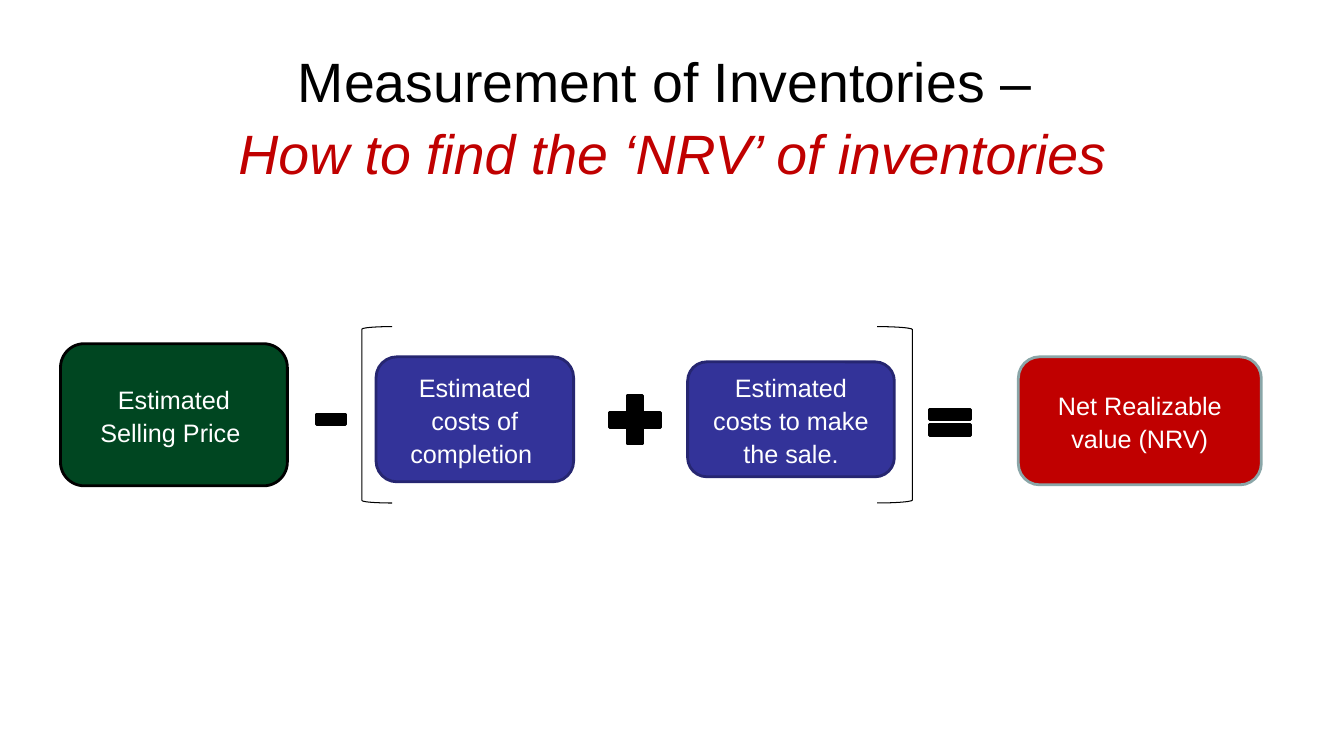
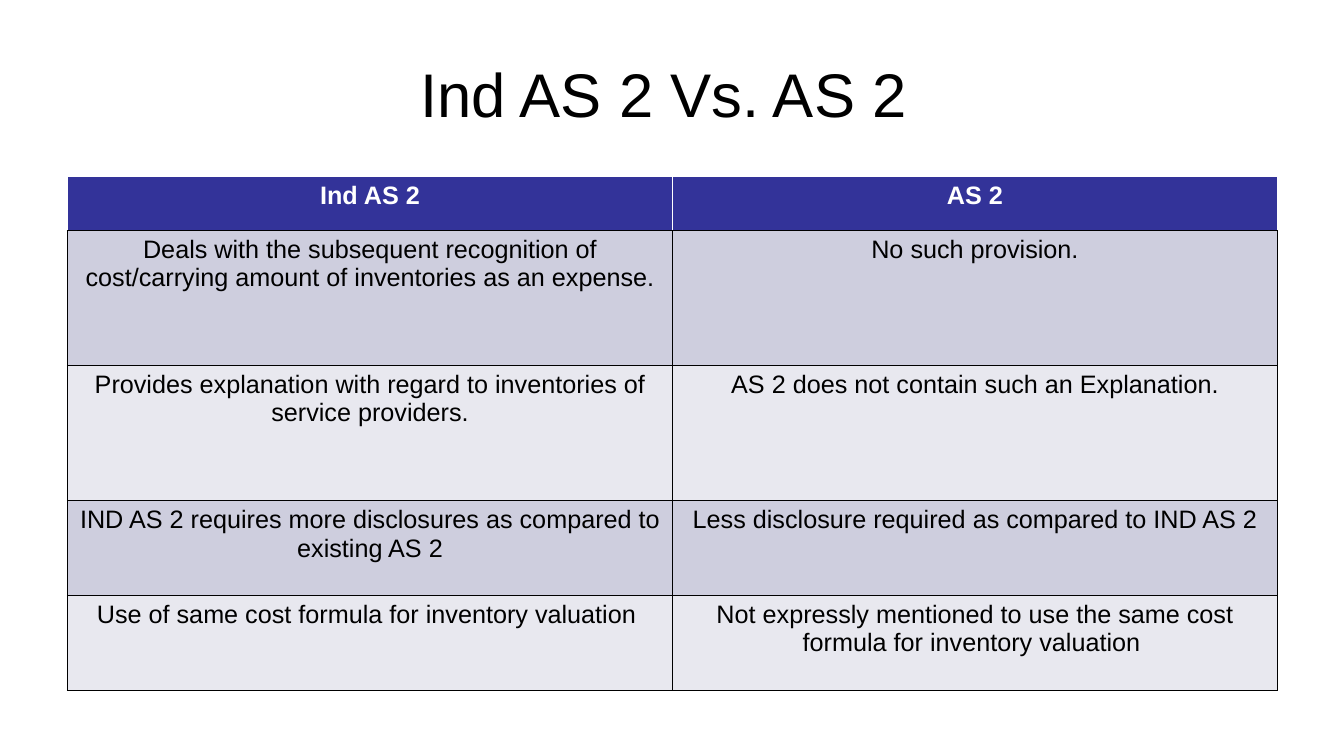
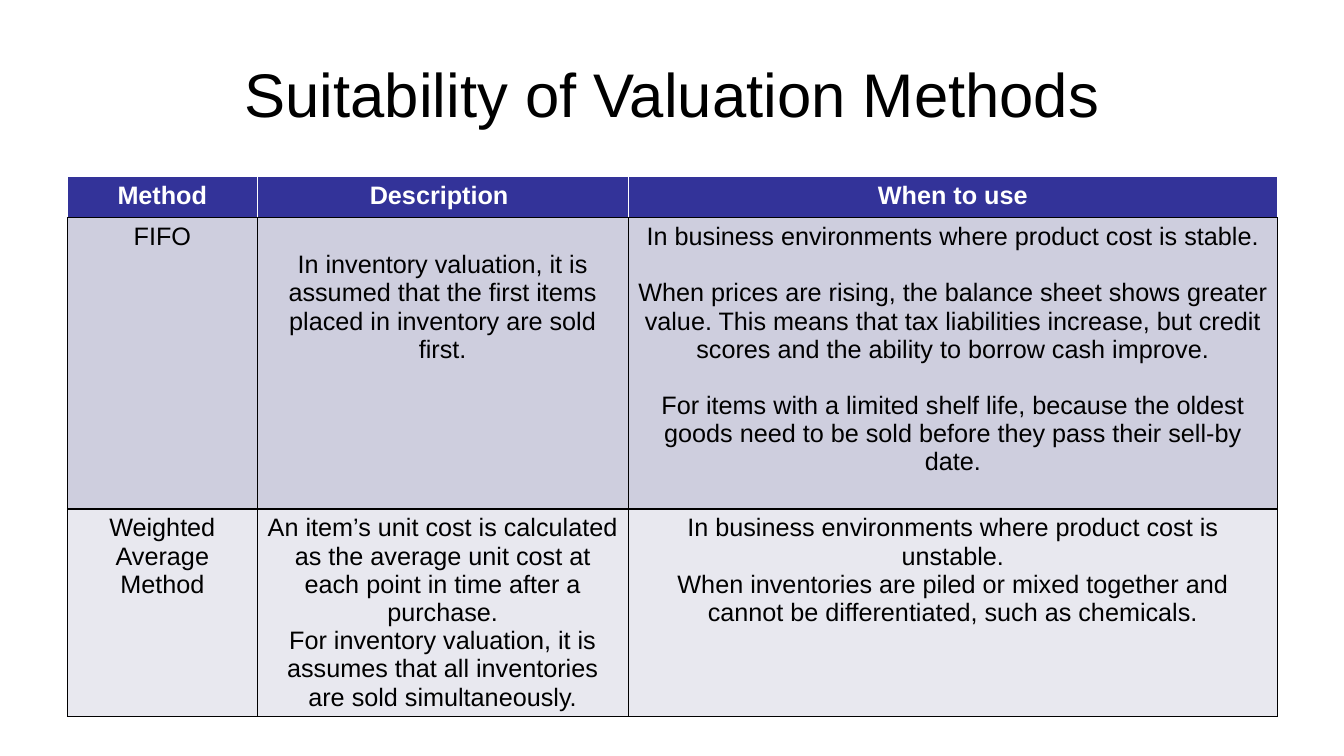
from lxml.etree import SubElement
from pptx import Presentation
from pptx.dml.color import RGBColor
from pptx.enum.shapes import MSO_SHAPE
from pptx.enum.text import MSO_ANCHOR, MSO_AUTO_SIZE, PP_ALIGN
from pptx.oxml.ns import qn
from pptx.util import Inches, Pt

FONT = "Arial"
COLORS = {
    "black": "000000",
    "white": "FFFFFF",
    "green": "004621",
    "indigo": "333399",
    "indigo edge": "262671",
    "red": "C00000",
    "grey edge": "8AA6A8",
    "band dark": "CECEDE",
    "band light": "E8E8EF",
}
TITLE_AREA = (0.67, 0.3, 12, 1.25)
NRV_TITLE_AREA = (0.67, 0.71, 12, 0.84)
TABLE_LEFT, TABLE_TOP = 0.67, 1.75
LOOSE_LINES = 1.08
BLANK_LINE = 20

NRV_TITLE = [
    ("Measurement of Inventories – ", "black", False),
    ("How to find the ‘NRV’ of inventories", "red", True),
]
NRV_TERMS = [
    ("Estimated Selling Price ", (0.6, 3.41, 2.25, 1.41), "green", "black"),
    ("Estimated costs of completion ", (3.73, 3.54, 1.96, 1.24), "indigo", "indigo edge"),
    ("Estimated costs to make the sale.", (6.82, 3.59, 2.05, 1.14), "indigo", "indigo edge"),
    ("Net Realizable value (NRV)", (10.1, 3.54, 2.41, 1.27), "red", "grey edge"),
]
NRV_OPERATORS = [
    (MSO_SHAPE.MATH_EQUAL, (9.15, 3.97, 0.55, 0.44)),
    (MSO_SHAPE.MATH_MINUS, (3.09, 3.94, 0.39, 0.44)),
    (MSO_SHAPE.MATH_PLUS, (5.95, 3.84, 0.69, 0.65)),
]
NRV_BRACKETS = [
    (MSO_SHAPE.LEFT_BRACKET, (3.59, 3.24, 0.3, 1.75)),
    (MSO_SHAPE.RIGHT_BRACKET, (8.7, 3.24, 0.35, 1.75)),
]

COMPARISON = {
    "title": "Ind AS 2 Vs. AS 2 ",
    "widths": [6, 6],
    "heights": [0.54, 1.34, 1.34, 0.94, 0.94],
    "rows": [
        ["Ind AS 2", "AS 2"],
        ["Deals with the subsequent recognition of cost/carrying amount of inventories as an expense.",
         "No such provision."],
        ["Provides explanation with regard to inventories of service providers.",
         "AS 2 does not contain such an Explanation."],
        ["IND AS 2 requires more disclosures as compared to existing AS 2",
         "Less disclosure required as compared to IND AS 2"],
        ["Use of same cost formula for inventory valuation ",
         "Not expressly mentioned to use the same cost formula for inventory valuation "],
    ],
    "spaced row": None,
}
METHODS = {
    "title": "Suitability of Valuation Methods",
    "widths": [1.88, 3.68, 6.44],
    "heights": [0.41, 2.89, 2.06],
    "rows": [
        ["Method", "Description ", "When to use"],
        ["FIFO",
         "In inventory valuation, it is assumed that the first items placed in inventory are sold first.",
         "In business environments where product cost is stable.\n"
         "When prices are rising, the balance sheet shows greater value. This means that tax "
         "liabilities increase, but credit scores and the ability to borrow cash improve.\n"
         "For items with a limited shelf life, because the oldest goods need to be sold before "
         "they pass their sell-by date."],
        ["Weighted Average Method",
         "An item’s unit cost is calculated as the average unit cost at each point in time after "
         "a purchase.\n"
         "For inventory valuation, it is assumes that all inventories are sold simultaneously.",
         "In business environments where product cost is unstable.\n"
         "When inventories are piled or mixed together and cannot be differentiated, such as "
         "chemicals."],
    ],
    "spaced row": 1,
    "lowered cell": (1, 1),
}


def rgb(color):
    return RGBColor.from_string(COLORS[color])


def inches(area):
    return [Inches(length) for length in area]


def place(part, area):
    part.left, part.top, part.width, part.height = inches(area)


def style(paragraph, size, color=None, bold=None):
    paragraph.alignment = PP_ALIGN.CENTER
    paragraph.font.name = FONT
    paragraph.font.size = Pt(size)
    paragraph.font.bold = bold
    if color:
        paragraph.font.color.rgb = rgb(color)


def add_titled_slide(prs, title_lines, size):
    slide = prs.slides.add_slide(prs.slide_layouts.get_by_name("Title Only"))
    frame = slide.shapes.title.text_frame
    frame.auto_size = MSO_AUTO_SIZE.NONE
    frame.vertical_anchor = MSO_ANCHOR.MIDDLE
    heading = frame.paragraphs[0]
    style(heading, size)
    for index, (text, color, italic) in enumerate(title_lines):
        if index:
            heading.add_line_break()
        run = heading.add_run()
        run.text = text
        run.font.color.rgb = rgb(color)
        run.font.italic = italic
    return slide


def add_outlined(slide, preset, area, fill, edge, width):
    shape = slide.shapes.add_shape(preset, *inches(area))
    shape.shadow.inherit = False
    if fill:
        shape.fill.solid()
        shape.fill.fore_color.rgb = rgb(fill)
    else:
        shape.fill.background()
    shape.line.color.rgb = rgb(edge)
    shape.line.width = Pt(width)
    return shape


def set_borders(cell, colors):
    properties = cell._tc.get_or_add_tcPr()
    for index, (side, color) in enumerate(zip(("lnL", "lnR", "lnT", "lnB"), colors)):
        line = properties.makeelement(qn(f"a:{side}"), {"w": str(Pt(1))})
        fill = SubElement(line, qn("a:solidFill"))
        SubElement(fill, qn("a:srgbClr"), val=COLORS[color])
        properties.insert(index, line)


def build_nrv(prs):
    slide = add_titled_slide(prs, NRV_TITLE, 39.6)
    place(slide.shapes.title, NRV_TITLE_AREA)
    slide.shapes.title.text_frame.paragraphs[0].line_spacing = LOOSE_LINES
    for text, area, fill, edge in NRV_TERMS:
        term = add_outlined(slide, MSO_SHAPE.ROUNDED_RECTANGLE, area, fill, edge, 2)
        frame = term.text_frame
        frame.word_wrap = True
        frame.vertical_anchor = MSO_ANCHOR.MIDDLE
        frame.text = text
        frame.paragraphs[0].line_spacing = LOOSE_LINES
        style(frame.paragraphs[0], 18, "white")
    for preset, area in NRV_OPERATORS:
        add_outlined(slide, preset, area, "black", "black", 2)
    for preset, area in NRV_BRACKETS:
        add_outlined(slide, preset, area, None, "black", 0.75)


def build_table(prs, content):
    slide = add_titled_slide(prs, [(content["title"], "black", False)], 44)
    rows, widths, heights = content["rows"], content["widths"], content["heights"]
    area = (TABLE_LEFT, TABLE_TOP, sum(widths), sum(heights))
    table = slide.shapes.add_table(len(rows), len(widths), *inches(area)).table
    for column, width in zip(table.columns, widths):
        column.width = Inches(width)
    for row, height in zip(table.rows, heights):
        row.height = Inches(height)
    for r, texts in enumerate(rows):
        header = r == 0
        fill = "indigo" if header else ("band light", "band dark")[r % 2]
        edge = "white" if header else "black"
        for c, text in enumerate(texts):
            cell = table.cell(r, c)
            cell.text = text
            cell.fill.solid()
            cell.fill.fore_color.rgb = rgb(fill)
            set_borders(cell, (edge, edge, edge, "black"))
            for index, paragraph in enumerate(cell.text_frame.paragraphs):
                style(paragraph, 18, "white" if header else "black", header)
                if index and r == content["spaced row"]:
                    paragraph.space_before = Pt(BLANK_LINE)
    if "lowered cell" in content:
        lowered = table.cell(*content["lowered cell"])
        lowered.margin_top += Pt(BLANK_LINE)


def main():
    prs = Presentation()
    prs.slide_width, prs.slide_height = Inches(13.33), Inches(7.5)
    place(prs.slide_layouts.get_by_name("Title Only").placeholders[0], TITLE_AREA)
    build_nrv(prs)
    for content in (COMPARISON, METHODS):
        build_table(prs, content)
    prs.save("out.pptx")


if __name__ == "__main__":
    main()
